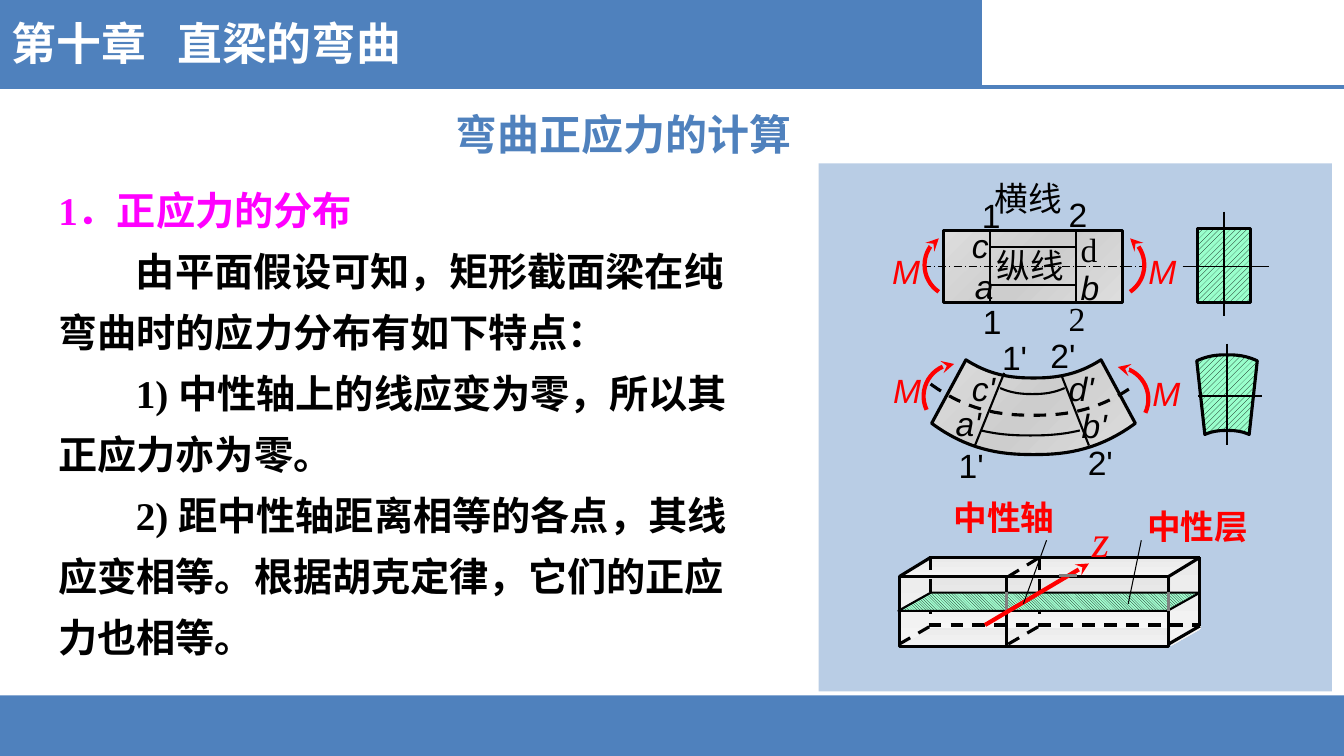
from dataclasses import dataclass
from math import cos, radians, sin

from lxml.etree import SubElement
from pptx import Presentation
from pptx.dml.color import RGBColor
from pptx.enum.dml import MSO_LINE as Dash, MSO_PATTERN as Hatch
from pptx.enum.shapes import MSO_CONNECTOR as Link, MSO_SHAPE as Form
from pptx.enum.text import MSO_ANCHOR as Anchor, PP_ALIGN as Align
from pptx.oxml.ns import qn
from pptx.util import Inches, Pt


@dataclass(frozen=True)
class Theme:
    """Colours, fonts and type sizes of the deck."""
    blue: str = "4F81BD"
    pale: str = "B9CDE5"
    white: str = "FFFFFF"
    black: str = "000000"
    grey: str = "808080"
    red: str = "FF0000"
    pink: str = "FF00FF"
    mint: str = "99FFCC"
    sans: str = "Arial"
    serif: str = "Times New Roman"
    cjk: str = "Noto Sans CJK SC"
    head: int = 32
    topic: int = 30
    body: int = 28
    label: int = 24
    lead: float = 43.6
    thin: float = 0.75
    mid: float = 1.5
    bold: float = 2.25
    heavy: float = 3


T = Theme()
WIDE, HIGH = 1333, 750
STEEL = (("DDDDDD", "CDCDCD", "DDDDDD"), 45)
LID = (("EAEAEA", "F3F3F3"), 90)
SIDE = (("EAEAEA", "F4F4F4"), 0)
BACK = (("DDDDDD", "F7F7F7"), 90)
CUT = (Hatch.WIDE_UPWARD_DIAGONAL, T.mint)
LAYER = (Hatch.LIGHT_DOWNWARD_DIAGONAL, "A3FFD1")


def cell(n):
    """Turn grid cells, a hundredth of an inch each, into a length."""
    return Inches(n / 100)


def ink(shape, color, wt, dash=None, tail=False):
    """Style an outline."""
    shape.line.color.rgb = RGBColor.from_string(color)
    shape.line.width = Pt(wt)
    if dash:
        shape.line.dash_style = dash
    if tail:
        SubElement(shape._element.spPr.find(qn("a:ln")), qn("a:tailEnd"), type="stealth")


def paint(shape, fill, line=None):
    """Fill a shape with a colour, a gradient or a hatch, and outline it."""
    shape.shadow.inherit = False
    if fill is None:
        shape.fill.background()
    elif isinstance(fill, str):
        shape.fill.solid()
        shape.fill.fore_color.rgb = RGBColor.from_string(fill)
    elif isinstance(fill[0], tuple):
        shape.fill.gradient()
        shape.fill.gradient_angle = 360 - fill[1]
        stops = shape._element.spPr.find(".//" + qn("a:gsLst"))
        stops.clear()
        for i, color in enumerate(fill[0]):
            stop = SubElement(stops, qn("a:gs"), pos=str(100000 * i // (len(fill[0]) - 1)))
            SubElement(stop, qn("a:srgbClr"), val=color)
    else:
        shape.fill.patterned()
        shape.fill.pattern = fill[0]
        shape.fill.fore_color.rgb = RGBColor.from_string(T.black)
        shape.fill.back_color.rgb = RGBColor.from_string(fill[1])
    if line:
        ink(shape, *line)
    else:
        shape.line.fill.background()


def style(para, size, color, face, bold=False, slant=False):
    """Format the runs of a paragraph."""
    for run in para.runs:
        font = run.font
        font.size, font.name, font.bold, font.italic = Pt(size), face, bold, slant
        font.color.rgb = RGBColor.from_string(color)
        SubElement(run._r.get_or_add_rPr(), qn("a:ea"), typeface=T.cjk)


def bow(cx, y, half, sag):
    """Give the points of a flat arch from left to right."""
    steps = [i / 16 for i in range(-16, 17)]
    return [(cx + half * u, y + sag * (1 - abs(u) ** 2.4)) for u in steps]


class Pen:
    """Draws on a slide from the corner of a box."""

    def __init__(self, slide, x, y):
        self.shapes, self.x, self.y = slide.shapes, x, y

    def at(self, x, y):
        return cell(self.x + x), cell(self.y + y)

    def line(self, x1, y1, x2, y2, color=T.black, wt=T.mid, dash=None, tail=False):
        link = self.shapes.add_connector(Link.STRAIGHT, *self.at(x1, y1), *self.at(x2, y2))
        ink(link, color, wt, dash, tail)
        SubElement(link._element.spPr, qn("a:effectLst"))

    def form(self, kind, x, y, w, h, fill=None, line=None, adj=None):
        shape = self.shapes.add_shape(kind, *self.at(x, y), cell(w), cell(h))
        if adj:
            shape.adjustments[0] = adj
        paint(shape, fill, line)
        return shape

    def trace(self, dots, line, fill=None):
        dots = [self.at(*dot) for dot in dots]
        path = self.shapes.build_freeform(*dots[0])
        path.add_line_segments(dots[1:], close=fill is not None)
        paint(path.convert_to_shape(), fill, line)

    def text(self, x, y, words, w=58, h=46, size=T.label, color=T.black, face=T.sans, **kind):
        box = self.shapes.add_textbox(*self.at(x, y - h / 2), cell(w), cell(h))
        frame = box.text_frame
        frame.word_wrap, frame.vertical_anchor = True, Anchor.MIDDLE
        frame.text = words
        style(frame.paragraphs[0], size, color, face, **kind)
        return frame

    def moment(self, cx, cy, side, turn=0):
        arc = [radians(turn + a) for a in range(-56, 57, 7)]
        dots = [(cx + side * 32 * cos(a), cy - 32 * sin(a)) for a in arc]
        self.trace(dots, (T.red, T.heavy, None, True))


def frame(slide):
    """Place the bars, the chapter name and the topic."""
    pen = Pen(slide, 0, 0)
    pen.form(Form.RECTANGLE, 0, 690, WIDE, 60, T.blue)
    pen.form(Form.RECTANGLE, 0, 0, 974, 86, T.blue)
    pen.line(0, 86, WIDE, 86, T.blue, T.heavy)
    head = pen.text(2, 42, "第十章\t直梁的弯曲", 500, 64, T.head, T.white, T.cjk, bold=True)
    tabs = SubElement(head.paragraphs[0]._p.get_or_add_pPr(), qn("a:tabLst"))
    SubElement(tabs, qn("a:tab"), pos=str(cell(164)), algn="l")
    title = slide.shapes.title
    title.left, title.top, title.width, title.height = map(cell, (440, 100, 357, 66))
    title.text_frame.text = "弯曲正应力的计算"
    title.text_frame.vertical_anchor = Anchor.MIDDLE
    title.text_frame.word_wrap = False
    title.text_frame.paragraphs[0].alignment = Align.CENTER
    style(title.text_frame.paragraphs[0], T.topic, T.blue, T.cjk, bold=True)


def body(slide, x, y, w, h):
    """Place the heading and the indented paragraphs."""
    box = slide.shapes.add_textbox(cell(x), cell(y), cell(w), cell(h))
    box.text_frame.word_wrap = True
    box.text_frame.text = "\n".join((
        "1．正应力的分布",
        "由平面假设可知，矩形截面梁在纯弯曲时的应力分布有如下特点：",
        "1) 中性轴上的线应变为零，所以其正应力亦为零。",
        "2) 距中性轴距离相等的各点，其线应变相等。根据胡克定律，它们的正应力也相等。"))
    for i, para in enumerate(box.text_frame.paragraphs):
        para.line_spacing = Pt(T.lead)
        if i:
            para._p.get_or_add_pPr().set("indent", str(cell(77)))
        style(para, T.body, T.black if i else T.pink, T.serif, bold=True)


def flat(slide, x, y):
    """Draw the straight beam with its section."""
    pen = Pen(slide, x, y)
    pen.form(Form.RECTANGLE, 0, 0, 177, 71, STEEL, (T.black, T.bold))
    pen.line(-21, 35, 198, 35, wt=T.thin, dash=Dash.LONG_DASH_DOT)
    for col, row in ((46, 16), (131, 54)):
        pen.line(col, 0, col, 71)
        pen.line(46, row, 131, row)
    pen.form(Form.RECTANGLE, 252, -2, 52, 73, CUT, (T.black, T.bold))
    pen.line(237, 35, 323, 35, wt=T.thin)
    pen.line(278, -19, 278, 85, wt=T.thin)
    for cx, side, left in ((13, -1, -61), (167, 1, 193)):
        pen.moment(cx, 34, side)
        pen.text(left, 40, "M", color=T.red, slant=True)
    for left, row, word in ((28, -16, "1"), (29, 90, "1"), (114, -17, "2")):
        pen.text(left, row, word)
    for left, row, word in ((21, 55, "a"), (126, 56, "b"), (18, 14, "c")):
        pen.text(left, row, word, slant=True)
    for left, row, word in ((114, 87, "2"), (126, 18, "d"), (41, -32, "横线"), (43, 34, "纵线")):
        pen.text(left, row, word, 100, face=T.serif)


def bent(slide, x, y):
    """Draw the bent beam with its section."""
    pen = Pen(slide, x, y)
    edge = (T.black, T.bold)
    pen.trace(bow(103, 0, 67, 18) + bow(103, 63, 101, 31)[::-1], edge, STEEL)
    pen.trace(bow(103, 24, 102, 31), (*edge, Dash.DASH))
    for arch in (bow(102, 28, 32, 6), bow(100, 70, 49, 5)):
        pen.trace(arch, (T.black, T.mid))
    pen.line(131, 16, 158, 85)
    pen.line(74, 13, 45, 85)
    pen.trace(bow(295, 1, 30, -6) + bow(295, 74, 22, -4)[::-1], edge, CUT)
    pen.line(295, -16, 295, 84)
    pen.line(266, 36, 330, 36)
    for cx, cy, side, left in ((26, 36, -1, -46), (185, 39, 1, 211)):
        pen.moment(cx, cy, side, 31)
        pen.text(left, cy - 6, "M", color=T.red, slant=True)
    for left, row, word in ((62, -3, "1'"), (19, 104, "1'"), (110, -5, "2'"), (147, 101, "2'")):
        pen.text(left, row, word)
    for left, row, word in ((32, 28, "c'"), (16, 63, "a'"), (128, 28, "d'"), (141, 65, "b'")):
        pen.text(left, row, word, slant=True)


def prism(slide, x, y):
    """Draw the solid beam with its neutral layer and axis."""
    pen = Pen(slide, x, y)
    pen.form(Form.PARALLELOGRAM, 0, 67, 299, 20, LID, adj=1.59)
    for left in (-28, 240):
        face = pen.form(Form.PARALLELOGRAM, left, 29, 88, 30, SIDE, adj=0.57)
        face.rotation = 270
        face._element.spPr.xfrm.set("flipH", "1")
        if left < 0:
            pen.form(Form.RECTANGLE, 30, 1, 267, 69, BACK)
    pen.form(Form.PARALLELOGRAM, 0, 0, 299, 20, LID, adj=1.59)
    for col, top, rest in ((0, None, Dash.DASH), (108, Dash.DASH, Dash.DASH), (267, None, None)):
        pen.line(col, 19, col + 31, 0, wt=T.bold, dash=top)
        pen.line(col, 86, col + 31, 68, wt=T.bold, dash=rest)
        pen.line(col + 31, 0, col + 31, 68, wt=T.bold, dash=rest)
    pen.line(29, 0, 298, 0, wt=T.bold)
    pen.line(29, 67, 298, 67, wt=T.bold, dash=Dash.DASH)
    pen.line(106, 19, 106, 87, wt=T.bold)
    pen.form(Form.RECTANGLE, 0, 19, 267, 69, line=(T.black, T.bold))
    pen.form(Form.PARALLELOGRAM, -1, 35, 299, 18, LAYER, (T.black, T.mid), 1.78)
    for col in (106, 267):
        pen.line(col, 34, col, 53, T.grey, T.bold)
    pen.line(85, 67, 188, 6, T.red, T.heavy, tail=True)
    pen.line(227, 46, 240, -17, wt=T.thin)
    pen.line(123, 46, 146, -17, wt=T.thin)
    pen.line(158, 18, 176, 18, T.grey, T.bold)
    for left, row, word in ((44, -40, "中性轴"), (236, -31, "中性层")):
        pen.text(left, row, word, 139, color=T.red, bold=True)
    pen.text(181, -18, "z", 41, 63, T.head, T.red, T.serif, slant=True)


def main():
    """Build the deck."""
    deck = Presentation()
    deck.slide_width, deck.slide_height = cell(WIDE), cell(HIGH)
    slide = deck.slides.add_slide(deck.slide_layouts[5])
    frame(slide)
    body(slide, 48, 166, 713, 500)
    Pen(slide, 812, 162).form(Form.RECTANGLE, 0, 0, 509, 524, T.pale)
    flat(slide, 936, 229)
    bent(slide, 922, 357)
    prism(slide, 892, 553)
    deck.save("out.pptx")


if __name__ == "__main__":
    main()
